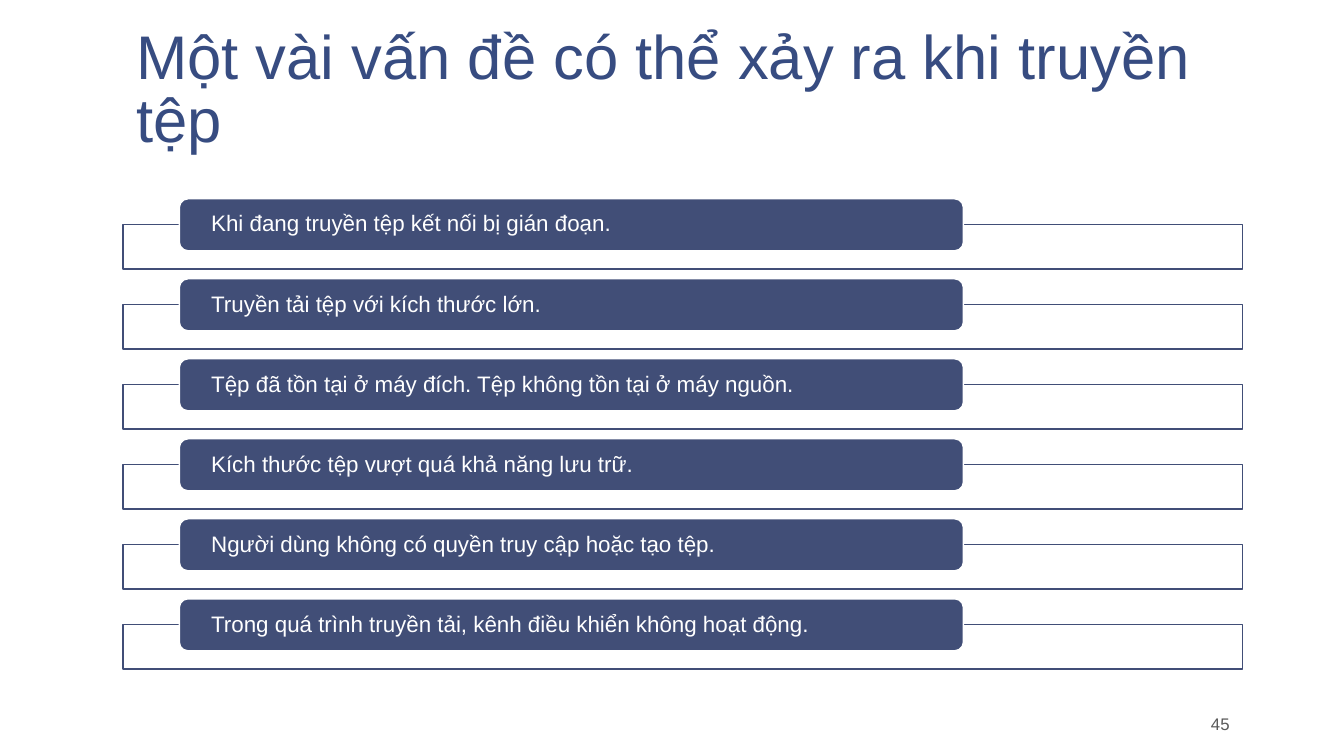
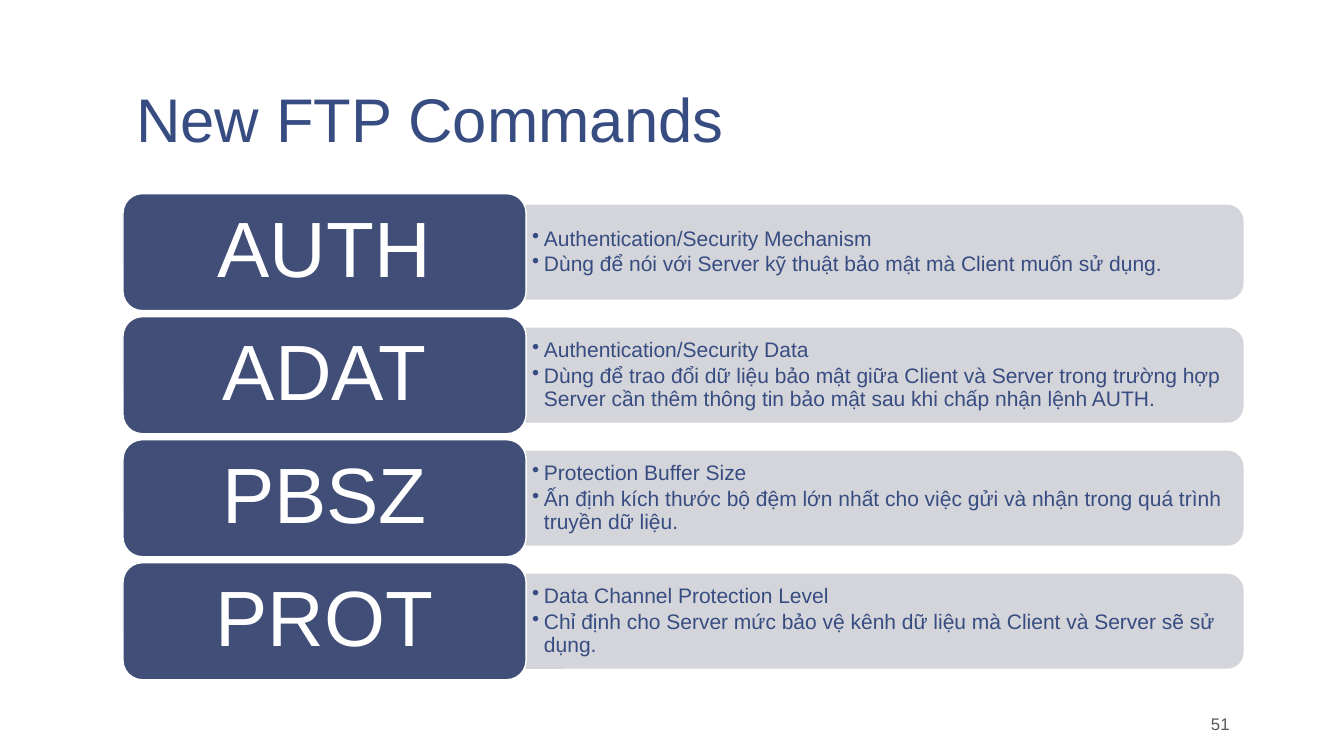
from dataclasses import dataclass

from lxml import etree
from pptx import Presentation
from pptx import util as u
from pptx.dml.color import RGBColor as Rgb
from pptx.enum import shapes, text
from pptx.oxml.ns import qn

Kind = shapes.MSO_SHAPE
Mid = text.MSO_ANCHOR.MIDDLE
Low = text.MSO_ANCHOR.BOTTOM
Side = text.PP_ALIGN


@dataclass(frozen=True)
class Theme:
    face: str = "Arial"
    navy: Rgb = Rgb(0x41, 0x4E, 0x77)
    ink: Rgb = Rgb(0x37, 0x4C, 0x81)
    white: Rgb = Rgb(0xFF, 0xFF, 0xFF)
    pale: Rgb = Rgb(0xD4, 0xD5, 0xDA)
    grey: Rgb = Rgb(0x59, 0x59, 0x59)
    head: int = 44
    code: int = 56
    item: int = 16
    note: int = 15
    foot: int = 12


look = Theme()

# Each style: size, colour, insets (side, top) in cm, anchor, paragraph format
styles = {
    "head": (look.head, look.ink, (0.33, 0.18), Low,
             {"alignment": Side.LEFT, "line_spacing": 0.85}),
    "item": (look.item, look.white, (0.74, 0), Mid,
             {"alignment": Side.LEFT, "line_spacing": 0.9}),
    "code": (look.code, look.white, (0.58, 0.3), Mid,
             {"alignment": Side.CENTER, "line_spacing": 0.9}),
    "note": (look.note, look.ink, (0.15, 0.08), Mid,
             {"alignment": Side.LEFT, "line_spacing": 0.9, "space_after": u.Pt(2.25)}),
    "foot": (look.foot, look.grey, (0.33, 0.18), Low, {"alignment": Side.RIGHT}),
}


def write(shape, lines, style):
    """Fill a shape with one paragraph per line, set in a named style."""
    size, color, (side, top), anchor, form = styles[style]
    frame = shape.text_frame
    frame.text = "\n".join(lines)
    setup = {"word_wrap": True, "auto_size": text.MSO_AUTO_SIZE.NONE,
             "vertical_anchor": anchor,
             "margin_left": u.Cm(side), "margin_right": u.Cm(side),
             "margin_top": u.Cm(top), "margin_bottom": u.Cm(top)}
    for key, val in setup.items():
        setattr(frame, key, val)
    for para in frame.paragraphs:
        for key, val in form.items():
            setattr(para, key, val)
        for run in para.runs:
            run.font.name, run.font.size = look.face, u.Pt(size)
            run.font.color.rgb = color


def block(slide, kind, spot, fill, edge):
    """Add a flat shape; spot is left, top, width, height in cm."""
    shape = slide.shapes.add_shape(kind, *map(u.Cm, spot))
    shape.shadow.inherit = False
    shape.fill.solid()
    shape.fill.fore_color.rgb = fill
    shape.line.color.rgb = edge
    shape.line.width = u.Pt(1)
    return shape


deck = Presentation()
deck.slide_width, deck.slide_height = u.Cm(33.87), u.Cm(19.05)
left, wide = 3.1, 28.22

# Title and page number
pages = []
for title, number in (("Một vài vấn đề có thể xảy ra khi truyền tệp", "45"),
                      ("New FTP Commands", "51")):
    slide = deck.slides.add_slide(deck.slide_layouts[5])
    head = slide.shapes.title
    head.left, head.top, head.width, head.height = map(u.Cm, (left, 0.2, wide, 3.89))
    write(head, [title], "head")
    foot = slide.shapes.add_textbox(*map(u.Cm, (28.25, 17.78, 3.07, 0.89)))
    write(foot, [number], "foot")
    pages.append(slide)
issues, orders = pages

# Transfer issues
faults = (
    "Khi đang truyền tệp kết nối bị gián đoạn.",
    "Truyền tải tệp với kích thước lớn.",
    "Tệp đã tồn tại ở máy đích. Tệp không tồn tại ở máy nguồn.",
    "Kích thước tệp vượt quá khả năng lưu trữ.",
    "Người dùng không có quyền truy cập hoặc tạo tệp.",
    "Trong quá trình truyền tải, kênh điều khiển không hoạt động.",
)
for row, fault in enumerate(faults):
    top = 5.01 + row * 2.016
    block(issues, Kind.RECTANGLE, (left, top + 0.65, wide, 1.12), look.white, look.navy)
    pill = block(issues, Kind.ROUNDED_RECTANGLE, (4.52, top, 19.76, 1.31),
                 look.navy, look.white)
    write(pill, [fault], "item")

# FTP commands
codes = {
    "AUTH": ("Authentication/Security Mechanism",
             "Dùng để nói với Server kỹ thuật bảo mật mà Client muốn sử dụng."),
    "ADAT": ("Authentication/Security Data",
             "Dùng để trao đổi dữ liệu bảo mật giữa Client và Server trong trường hợp "
             "Server cần thêm thông tin bảo mật sau khi chấp nhận lệnh AUTH."),
    "PBSZ": ("Protection Buffer Size",
             "Ấn định kích thước bộ đệm lớn nhất cho việc gửi và nhận trong quá trình "
             "truyền dữ liệu."),
    "PROT": ("Data Channel Protection Level",
             "Chỉ định cho Server mức bảo vệ kênh dữ liệu mà Client và Server sẽ sử "
             "dụng."),
}
card, tall = 10.16, 2.95
start, span, thick = left + card, wide - card, 2.36
for row, (code, notes) in enumerate(codes.items()):
    top = 4.88 + row * 3.1
    mid = top + tall / 2
    # A quarter turn puts the two round corners on the right
    bar = block(orders, Kind.ROUND_2_SAME_RECTANGLE,
                (start + (span - thick) / 2, mid - span / 2, thick, span),
                look.pale, look.pale)
    bar.rotation = 90
    area = orders.shapes.add_textbox(
        *map(u.Cm, (start, mid - thick / 2, span - 0.12, thick)))
    write(area, notes, "note")
    for para in area.text_frame.paragraphs:
        props = para._p.get_or_add_pPr()
        props.set("marL", str(u.Cm(0.3)))
        props.set("indent", str(u.Cm(-0.3)))
        etree.SubElement(props, qn("a:buChar"), char="•")
    name = block(orders, Kind.ROUNDED_RECTANGLE, (left, top, card, tall),
                 look.navy, look.white)
    write(name, [code], "code")

deck.save("out.pptx")
